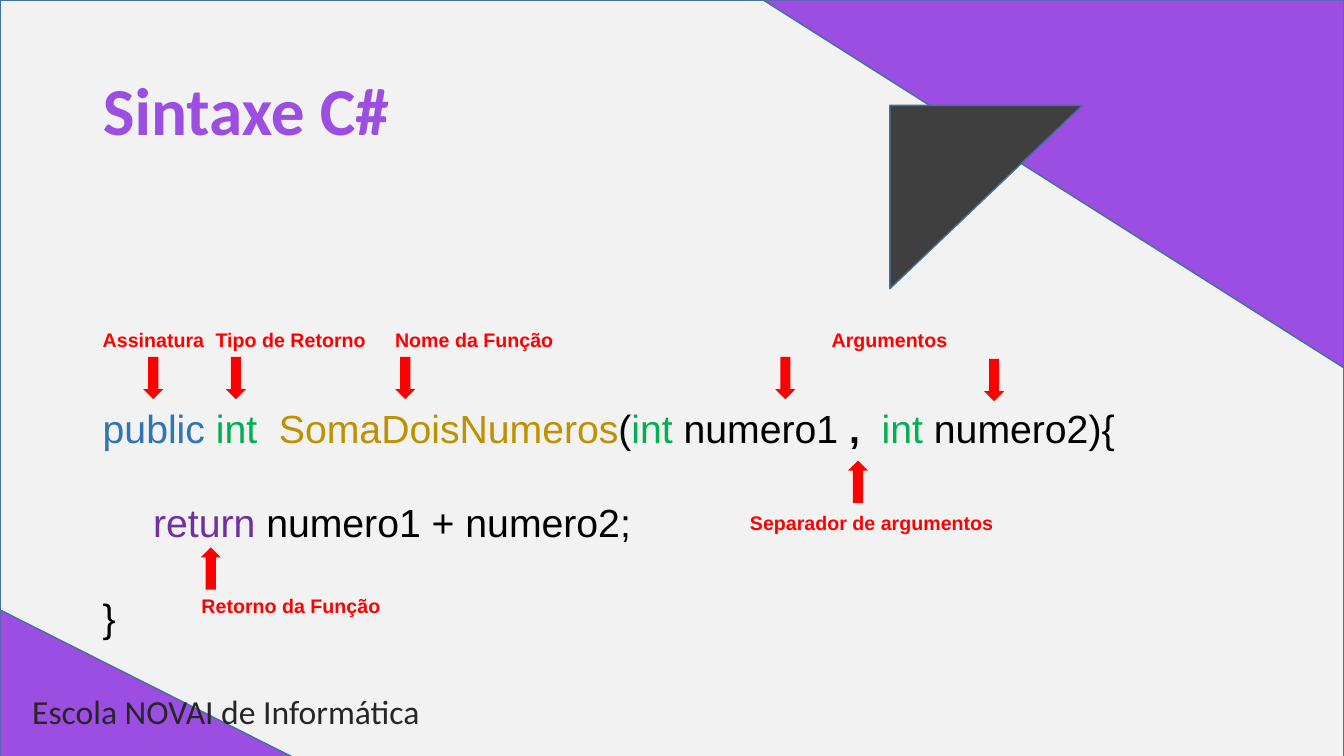
from pptx import Presentation
from pptx.dml.color import RGBColor
from pptx.enum.shapes import MSO_SHAPE as Preset
from pptx.enum.text import MSO_ANCHOR as Anchor, MSO_AUTO_SIZE as AutoSize, PP_ALIGN as Align
from pptx.util import Inches, Pt

PURPLE = RGBColor(0x9C, 0x4E, 0xE2)
PALE_GREY = RGBColor(0xF2, 0xF2, 0xF2)
CHARCOAL = RGBColor(0x3F, 0x3F, 0x3F)
OUTLINE = RGBColor(0x42, 0x71, 0x9B)
FOOTER_GREY = RGBColor(0x26, 0x26, 0x26)
RED = RGBColor(0xFF, 0x00, 0x00)
BLACK = RGBColor(0x00, 0x00, 0x00)
BLUE = RGBColor(0x2E, 0x75, 0xB6)
GREEN = RGBColor(0x00, 0xB0, 0x50)
GOLD = RGBColor(0xBF, 0x90, 0x00)
VIOLET = RGBColor(0x70, 0x30, 0xA0)

BACKDROP = [
    (Preset.RECTANGLE, (0, 0, 13.33, 7.57), 0, PALE_GREY),
    (Preset.RIGHT_TRIANGLE, (0, 6.05, 3, 1.51), 0, PURPLE),
    (Preset.RIGHT_TRIANGLE, (7.57, 0, 5.76, 3.65), 180, PURPLE),
    (Preset.RIGHT_TRIANGLE, (8.87, 1, 1.82, 1.91), 90, CHARCOAL),
]

CODE = [
    [("public ", BLUE), ("int  ", GREEN), ("SomaDoisNumeros", GOLD), ("(", BLACK),
     ("int", GREEN), (" numero1 ", BLACK), (",  ", BLACK, True), ("int", GREEN),
     (" numero2){", BLACK)],
    [("\t", BLACK), ("return", VIOLET), (" numero1 + numero2;", BLACK)],
    [("}", BLACK)],
]

LABELS = [
    ("Assinatura", 0.92, 3.2, 1.21),
    ("Tipo de Retorno", 2.04, 3.2, 1.7),
    ("Nome da Função", 3.82, 3.2, 1.78),
    ("Argumentos", 8.15, 3.2, 1.36),
    ("Separador de argumentos", 7.34, 5.02, 2.63),
    ("Retorno da Função", 1.9, 5.84, 1.98),
]

# left, top, rotation
ARROWS = [
    (1.42, 3.54, 0), (2.24, 3.54, 0), (3.92, 3.54, 0), (7.69, 3.54, 0),
    (9.76, 3.56, 0), (8.41, 4.57, 180), (1.99, 5.43, 180),
]


def add_run(paragraph, text, size, color, font="Arial", bold=False):
    run = paragraph.add_run()
    run.text = text
    run.font.name = font
    run.font.size = Pt(size)
    run.font.bold = bold
    run.font.color.rgb = color


def add_preset(slide, preset, box, rotation, fill, outline=None):
    shape = slide.shapes.add_shape(preset, *map(Inches, box))
    shape.rotation = rotation
    shape.shadow.inherit = False
    shape.fill.solid()
    shape.fill.fore_color.rgb = fill
    if outline is None:
        shape.line.fill.background()
    else:
        shape.line.color.rgb = outline
        shape.line.width = Pt(1)


def add_text_frame(slide, box, wrap=True):
    frame = slide.shapes.add_textbox(*map(Inches, box)).text_frame
    frame.word_wrap = wrap
    frame.auto_size = AutoSize.SHAPE_TO_FIT_TEXT
    return frame


def add_title(slide, text):
    """Fill the title placeholder and bring it in front of the backdrop."""
    title = slide.shapes.title
    title.left, title.top = Inches(0.92), Inches(0.4)
    title.width, title.height = Inches(11.5), Inches(1.45)
    slide.shapes._spTree.append(title._element)
    frame = title.text_frame
    frame.word_wrap = True
    frame.auto_size = AutoSize.NONE
    frame.vertical_anchor = Anchor.MIDDLE
    paragraph = frame.paragraphs[0]
    paragraph.alignment = Align.LEFT
    paragraph.line_spacing = 0.9
    add_run(paragraph, text, 48, PURPLE, "Calibri", True)


def add_code(slide, lines):
    frame = add_text_frame(slide, (0.92, 3.96, 10.98, 2.46))
    for index, line in enumerate(lines):
        paragraph = frame.add_paragraph() if index else frame.paragraphs[0]
        if index:
            paragraph.space_before = Pt(34)
        for text, color, *bold in line:
            add_run(paragraph, text, 28, color, bold=bool(bold))


def main():
    presentation = Presentation()
    presentation.slide_width = Inches(13.33)
    presentation.slide_height = Inches(7.5)
    slide = presentation.slides.add_slide(presentation.slide_layouts[5])

    for preset, box, rotation, fill in BACKDROP:
        add_preset(slide, preset, box, rotation, fill, OUTLINE)
    footer = add_text_frame(slide, (0.22, 6.81, 4.59, 0.5))
    add_run(footer.paragraphs[0], "Escola NOVAI de Informática", 24, FOOTER_GREY, "Calibri")

    add_title(slide, "Sintaxe C#")
    add_code(slide, CODE)
    for text, left, top, width in LABELS:
        label = add_text_frame(slide, (left, top, width, 0.34), wrap=False)
        add_run(label.paragraphs[0], text, 14, RED, bold=True)
    for left, top, rotation in ARROWS:
        add_preset(slide, Preset.DOWN_ARROW, (left, top, 0.2, 0.42), rotation, RED)

    presentation.save("out.pptx")


if __name__ == "__main__":
    main()
